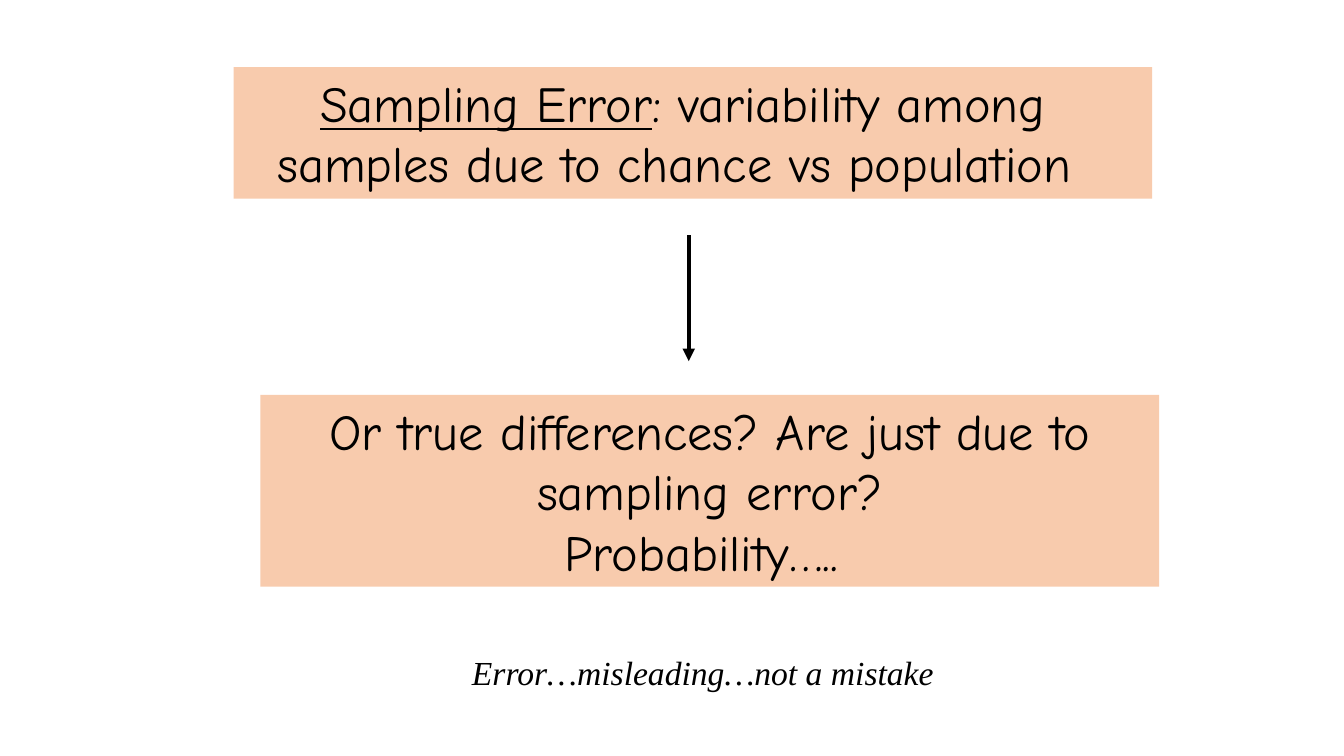
from dataclasses import dataclass

from lxml import etree
from pptx import Presentation
from pptx.dml.color import RGBColor
from pptx.enum.shapes import MSO_CONNECTOR
from pptx.enum.text import MSO_ANCHOR, PP_ALIGN
from pptx.oxml.ns import qn
from pptx.util import Pt

STRAIGHT = MSO_CONNECTOR.STRAIGHT
TOP = MSO_ANCHOR.TOP
CENTER = PP_ALIGN.CENTER
LEFT = PP_ALIGN.LEFT


@dataclass(frozen=True)
class Theme:
    ink: RGBColor = RGBColor(0x00, 0x00, 0x00)
    paper: RGBColor = RGBColor(0xFF, 0xFF, 0xFF)
    peach: RGBColor = RGBColor(0xF8, 0xCB, 0xAD)
    statement_font: str = "Comic Neue"
    remark_font: str = "Times New Roman"
    statement_size: int = 36
    remark_size: int = 24
    arrow_width: int = 3


THEME = Theme()


def add_span(para, text, font=THEME.statement_font, size=THEME.statement_size,
             underline=False, italic=False):
    span = para.add_run()
    span.text = text
    span.font.name = font
    span.font.size = Pt(size)
    span.font.color.rgb = THEME.ink
    span.font.underline = underline
    span.font.italic = italic


def add_panel(page, box, lines, fill=THEME.peach, align=CENTER, right_inset=7.2):
    panel = page.shapes.add_textbox(*map(Pt, box))
    panel.fill.solid()
    panel.fill.fore_color.rgb = fill
    frame = panel.text_frame
    frame.word_wrap = True
    frame.vertical_anchor = TOP
    frame.margin_right = Pt(right_inset)
    for index, spans in enumerate(lines):
        para = frame.add_paragraph() if index else frame.paragraphs[0]
        para.alignment = align
        for text, style in spans:
            add_span(para, text, **style)


def add_definition(page, box):
    add_panel(page, box, [
        [("Sampling Error", {"underline": True}), (": variability among", {})],
        [("samples due to chance vs population ", {})],
    ], right_inset=21.6)


def add_question(page, box):
    lines = ["Or true differences? Are just due to", "sampling error?", "Probability….. "]
    add_panel(page, box, [[(line, {})] for line in lines])


def add_remark(page, box):
    style = {"font": THEME.remark_font, "size": THEME.remark_size, "italic": True}
    add_panel(page, box, [[("Error…misleading…not a mistake", style)]],
              fill=THEME.paper, align=LEFT)


def add_down_arrow(page, box):
    left, top, width, height = box
    middle = left + width / 2
    arrow = page.shapes.add_connector(
        STRAIGHT, Pt(middle), Pt(top), Pt(middle), Pt(top + height))
    arrow.line.color.rgb = THEME.ink
    arrow.line.width = Pt(THEME.arrow_width)
    etree.SubElement(arrow.line._get_or_add_ln(), qn("a:tailEnd"), type="triangle")
    etree.SubElement(arrow._element.spPr, qn("a:effectLst"))


def main():
    deck = Presentation()
    deck.slide_width = Pt(960)
    deck.slide_height = Pt(540)
    page = deck.slides.add_slide(deck.slide_layouts[6])
    add_definition(page, (167, 48, 656, 94))
    add_down_arrow(page, (482, 168, 20, 90))
    add_question(page, (186, 282, 642, 137))
    add_remark(page, (330, 462, 345, 36))
    deck.save("out.pptx")


if __name__ == "__main__":
    main()
